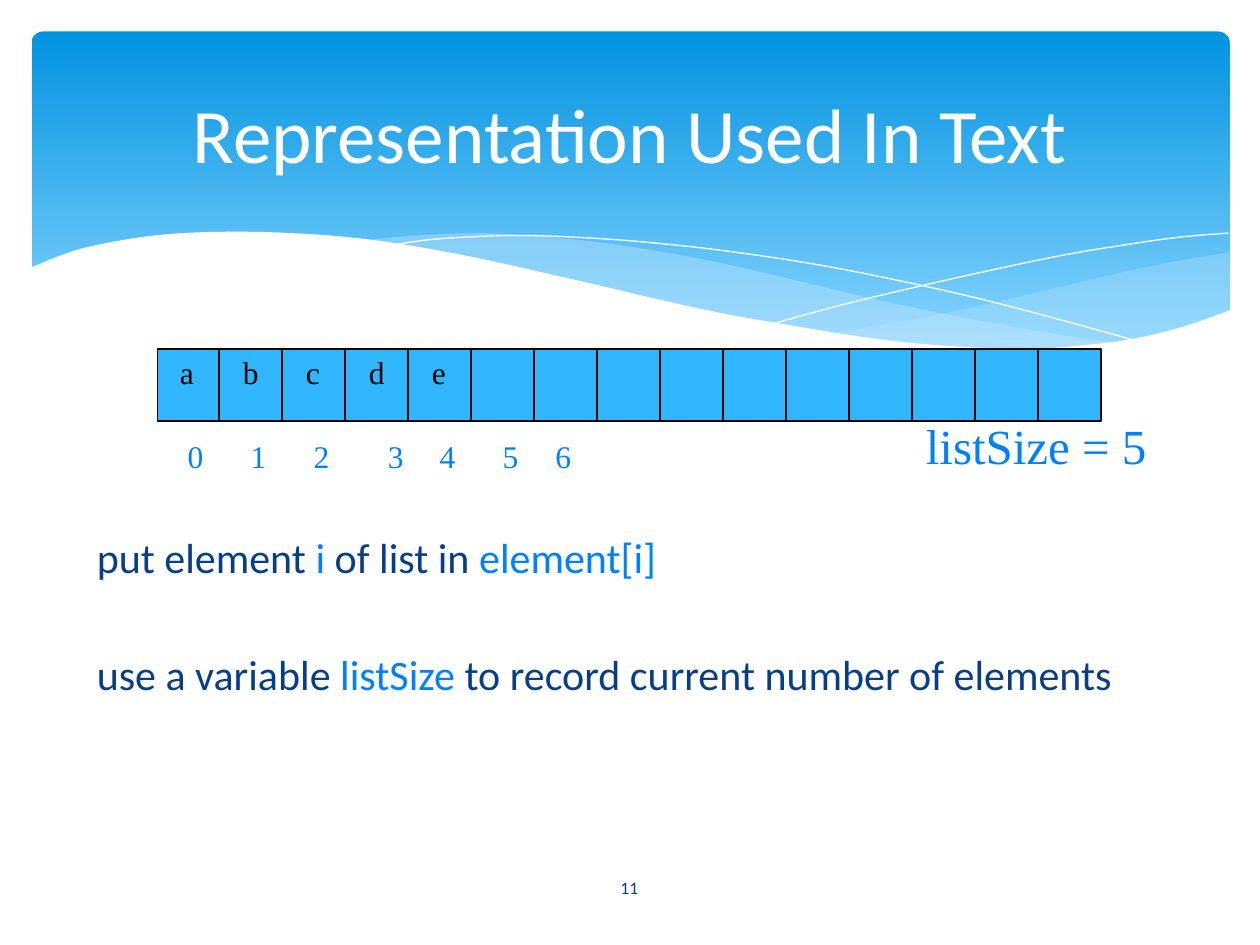
from dataclasses import dataclass

from lxml import etree
from pptx import Presentation
from pptx.dml.color import RGBColor
from pptx.enum.shapes import MSO_CONNECTOR, MSO_SHAPE
from pptx.enum.text import MSO_ANCHOR, PP_ALIGN
from pptx.oxml.ns import qn
from pptx.util import Inches, Pt

STRAIGHT = MSO_CONNECTOR.STRAIGHT
RECTANGLE, ROUNDED = MSO_SHAPE.RECTANGLE, MSO_SHAPE.ROUNDED_RECTANGLE
TOP, MIDDLE = MSO_ANCHOR.TOP, MSO_ANCHOR.MIDDLE
LEFT, CENTER = PP_ALIGN.LEFT, PP_ALIGN.CENTER

WHITE = RGBColor(0xFF, 0xFF, 0xFF)
BLACK = RGBColor(0x00, 0x00, 0x00)
NAVY = RGBColor(0x07, 0x3E, 0x87)
BLUE = RGBColor(0x00, 0x80, 0xFF)
CELL_BLUE = RGBColor(0x31, 0xB6, 0xFD)
BANNER_TOP = RGBColor(0x02, 0x93, 0xE0)
BANNER_BOTTOM = RGBColor(0x83, 0xD3, 0xFE)
PALE_BLUE = RGBColor(0xC6, 0xE7, 0xFC)

SANS, SERIF = "Calibri", "Times New Roman"
CELL_COUNT, CELL_WIDTH = 15, 0.5
ARRAY_LEFT, ARRAY_TOP, ARRAY_WIDTH, ARRAY_HEIGHT = 1.25, 2.77, 7.49, 0.57

Point = tuple[float, float]
Span = tuple[str, RGBColor]


@dataclass
class Wave:
    """An outline made of smooth curves joined end to end."""
    curves: list[list[Point]]
    color: RGBColor
    opacity: int = 100
    filled: bool = True


@dataclass
class Label:
    left: float
    top: float
    width: float
    height: float
    paragraphs: list[list[Span]]
    size: float
    font: str = SERIF
    align: PP_ALIGN = LEFT
    anchor: MSO_ANCHOR = TOP
    wrap: bool = True
    gap: float = 0


WAVES = [
    Wave([[(9.76, 2), (9.35, 2.07), (8.91, 2.16), (8.32, 2.3), (7.53, 2.48), (6.61, 2.65)],
          [(6.61, 2.65), (7.05, 2.71), (7.57, 2.76), (8.03, 2.78), (8.54, 2.76),
           (8.97, 2.7), (9.35, 2.62), (9.76, 2.47)]], PALE_BLUE, 29),
    Wave([[(8.93, 2.73), (8.37, 2.65), (7.75, 2.54), (7.06, 2.4), (6.29, 2.22), (5.69, 2.08),
           (5.14, 1.98), (4.65, 1.91), (4.2, 1.87), (3.8, 1.85), (3.28, 1.87), (2.86, 1.91)],
          [(2.86, 1.91), (3.42, 1.99), (4.04, 2.11), (4.91, 2.32), (5.66, 2.48), (6.34, 2.61),
           (6.95, 2.7), (7.48, 2.76), (7.96, 2.78), (8.48, 2.77), (8.93, 2.73)]],
         PALE_BLUE, 40),
    Wave([[(3.09, 1.95), (3.44, 1.9), (4.01, 1.87), (4.5, 1.88), (5.1, 1.92), (5.82, 2),
           (6.65, 2.13), (7.6, 2.33), (8.31, 2.51), (9.07, 2.72)]], WHITE, filled=False),
    Wave([[(6.13, 2.57), (6.72, 2.41), (7.48, 2.23), (8.36, 2.04), (8.95, 1.94),
           (9.38, 1.88), (9.75, 1.85)]], WHITE, filled=False),
    Wave([[(9.77, 2.46), (9.4, 2.59), (8.99, 2.69), (8.5, 2.75), (8.09, 2.77), (7.44, 2.74),
           (6.88, 2.68), (6.26, 2.58), (5.55, 2.45), (4.47, 2.2), (3.65, 2.02), (2.92, 1.9),
           (2.3, 1.85), (1.77, 1.84), (1.32, 1.86), (0.95, 1.91), (0.59, 1.99), (0.23, 2.13)],
          [(0.23, 3.29), (9.77, 3.29)]], WHITE),
]


def smooth(points: list[Point], steps: int = 6) -> list[Point]:
    """Trace a Catmull-Rom curve through the points."""
    if len(points) == 2:
        return points
    padded = [points[0], *points, points[-1]]
    traced = [points[0]]
    for before, start, end, after in zip(padded, padded[1:], padded[2:], padded[3:]):
        for step in range(1, steps + 1):
            t = step / steps
            traced.append(tuple(
                b + t / 2 * (c - a + t * (2 * a - 5 * b + 4 * c - d
                                          + t * (3 * b - a - 3 * c + d)))
                for a, b, c, d in zip(before, start, end, after)))
    return traced


def add_wave(page, wave: Wave) -> None:
    outline = [(Inches(x), Inches(y)) for curve in wave.curves for x, y in smooth(curve)]
    builder = page.shapes.build_freeform(*outline[0])
    builder.add_line_segments(outline[1:], close=wave.filled)
    shape = builder.convert_to_shape()
    shape.shadow.inherit = False
    if not wave.filled:
        shape.fill.background()
        shape.line.color.rgb = wave.color
        shape.line.width = Pt(0)
        return
    shape.line.fill.background()
    shape.fill.solid()
    shape.fill.fore_color.rgb = wave.color
    if wave.opacity < 100:
        color = shape._element.spPr.find(".//" + qn("a:srgbClr"))
        etree.SubElement(color, qn("a:alpha")).set("val", str(wave.opacity * 1000))


def add_banner(page) -> None:
    banner = page.shapes.add_shape(ROUNDED, Inches(0.25), Inches(0.25),
                                   Inches(9.51), Inches(2.7))
    banner.adjustments[0] = 0.034
    banner.shadow.inherit = False
    banner.line.fill.background()
    banner.fill.gradient()
    banner.fill.gradient_angle = 270
    stops = [(0, BANNER_TOP), (0.9, BANNER_BOTTOM)]
    for stop, (position, color) in zip(banner.fill.gradient_stops, stops):
        stop.position = position
        stop.color.rgb = color


def add_label(page, label: Label) -> None:
    box = page.shapes.add_textbox(Inches(label.left), Inches(label.top),
                                  Inches(label.width), Inches(label.height))
    frame = box.text_frame
    for name, value in {"word_wrap": label.wrap, "vertical_anchor": label.anchor}.items():
        setattr(frame, name, value)
    for index, spans in enumerate(label.paragraphs):
        para = frame.add_paragraph() if index else frame.paragraphs[0]
        para.alignment = label.align
        if index:
            para.space_before = Pt(label.gap)
        for text, color in spans:
            span = para.add_run()
            span.text = text
            for name, value in {"name": label.font, "size": Pt(label.size)}.items():
                setattr(span.font, name, value)
            span.font.color.rgb = color


def add_array(page) -> None:
    array = page.shapes.add_shape(RECTANGLE, Inches(ARRAY_LEFT), Inches(ARRAY_TOP),
                                  Inches(ARRAY_WIDTH), Inches(ARRAY_HEIGHT))
    array.shadow.inherit = False
    array.fill.solid()
    array.fill.fore_color.rgb = CELL_BLUE
    dividers = []
    for index in range(1, CELL_COUNT):
        x = Inches(ARRAY_LEFT - 0.01 + index * CELL_WIDTH)
        divider = page.shapes.add_connector(STRAIGHT, x, Inches(ARRAY_TOP),
                                            x, Inches(ARRAY_TOP + ARRAY_HEIGHT))
        etree.SubElement(divider._element.spPr, qn("a:effectLst"))
        dividers.append(divider)
    for shape in [array, *dividers]:
        shape.line.color.rgb = BLACK
        shape.line.width = Pt(1)

    for index, left in enumerate([1.39, 1.89, 2.39, 2.98, 3.39, 3.89, 4.31]):
        add_label(page, Label(left, 3.42, 0.37, 0.5, [[(str(index), BLUE)]], 18, wrap=False))
    for index, letter in enumerate("abcde"):
        add_label(page, Label(1.33 + index * CELL_WIDTH, 2.75, 0.36, 0.5,
                              [[(letter, BLACK)]], 18, wrap=False))


def main() -> None:
    deck = Presentation()
    deck.slide_width, deck.slide_height = Inches(10), Inches(7.5)
    page = deck.slides.add_slide(deck.slide_layouts[6])
    add_banner(page)
    for wave in WAVES:
        add_wave(page, wave)
    body = [
        [("put element ", NAVY), ("i", BLUE), (" of list in ", NAVY), ("element[i]", BLUE)],
        [("use a variable ", NAVY), ("listSize ", BLUE),
         ("to record current number of elements", NAVY)],
    ]
    add_label(page, Label(0.67, 4.17, 8.5, 2.58, body, 24, SANS, gap=38))
    add_label(page, Label(0.5, 0.37, 9, 1.37, [[("Representation Used In Text", WHITE)]],
                          44, SANS, CENTER, MIDDLE))
    add_array(page)
    add_label(page, Label(7.25, 3.25, 2.17, 0.57, [[("listSize = 5", BLUE)]], 28))
    add_label(page, Label(4.36, 6.84, 1.27, 0.4, [[("11", NAVY)]], 10, SANS, CENTER, MIDDLE))
    deck.save("out.pptx")


if __name__ == "__main__":
    main()
